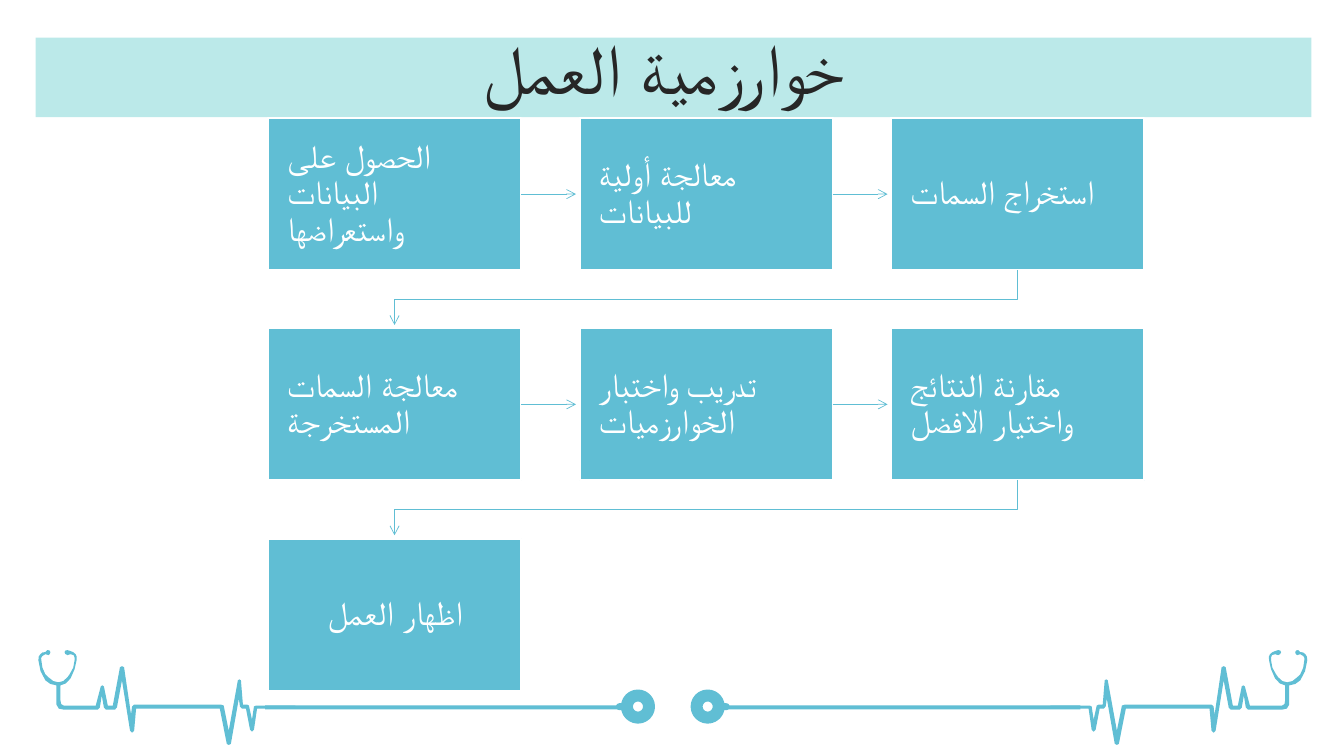
from lxml.etree import SubElement
from pptx import Presentation
from pptx.dml.color import RGBColor
from pptx.enum.shapes import MSO_CONNECTOR as Connector, MSO_SHAPE as Shape
from pptx.enum.text import MSO_ANCHOR as Anchor, MSO_AUTO_SIZE as AutoSize, PP_ALIGN as Align
from pptx.oxml.ns import qn
from pptx.util import Pt

TEAL, MINT, WHITE, INK = "60BED4", "BBE9E9", "FFFFFF", "262626"
BOX_LEFT, BOX_TOP, BOX_WIDTH, BOX_HEIGHT = 191.5, 84.4, 180.7, 108.5
COLUMN_STEP, ROW_STEP, COLUMNS = 222.6, 150.2, 3
ARROW_LENGTH, ELBOW_DROP = 39.2, 20.9
MIRROR_WIDTH = 961.2

STEPS = [
    "الحصول على البيانات واستعراضها",
    "معالجة أولية للبيانات",
    "استخراج السمات",
    "معالجة السمات المستخرجة",
    "تدريب واختبار الخوارزميات",
    "مقارنة النتائج واختيار الافضل",
    "اظهار العمل",
]

HEARTBEAT = [
    (27.4, 471.6), (27.7, 469), (28.8, 467.3), (30.4, 466.1), (32.4, 465.8),
    (33.8, 464.4), (35.3, 464.6), (36, 465.8), (35.6, 467.2), (34.6, 468),
    (32.4, 467.3), (30.2, 468.7), (29.4, 470), (29.5, 471.6), (30.3, 477),
    (32.4, 481.7), (34.6, 483.8), (38, 486.5), (41.8, 487.4), (45.2, 486.5),
    (48.2, 483.8), (49.7, 481.7), (52.3, 477), (53.3, 471.6), (53.2, 469.4),
    (52.6, 468), (50.4, 467.3), (48.2, 468), (46.7, 467.2), (46.1, 465.8),
    (46.8, 464.7), (48.2, 464.4), (50.4, 465.1), (52.3, 465.9), (54, 467.3),
    (54.8, 469), (54.7, 471.6), (53.3, 478), (50.4, 484.6), (47, 488.2),
    (43.2, 489.6), (43.2, 500.4), (43.7, 503), (45.4, 504), (68.4, 504),
    (72, 490.3), (73.1, 489.6), (74.2, 490.3), (77, 504), (80.6, 504),
    (85.7, 476.6), (87.1, 475.9), (88.6, 476.6), (93.6, 510.5), (94.3, 504.7),
    (95.8, 503.3), (157.7, 503.3), (159.8, 504), (163.4, 522), (169.9, 486),
    (171, 485.3), (172.1, 486), (173.5, 503.3), (176.4, 503.3), (177.8, 504),
    (180, 514.1), (181.4, 504.7), (182.9, 504), (211, 504), (211, 506.2),
    (183.6, 506.2), (181.4, 521.3), (180, 522.7), (178.6, 521.3),
    (175.7, 506.2), (172.8, 506.2), (171.4, 504.7), (170.6, 499),
    (164.9, 531.4), (163.4, 532.1), (162, 531.4), (157, 506.2), (97.2, 506.2),
    (95.8, 522), (94.3, 523.4), (92.9, 522), (87.1, 486), (83.5, 505.4),
    (82.1, 506.9), (75.6, 506.9), (74.2, 505.4), (72.7, 496.8), (71.3, 505.4),
    (69.8, 506.9), (45.4, 506.9), (42, 506.2), (40.3, 503.3), (40.3, 489.6),
    (36, 488.6), (32.4, 486), (29, 479.5),
]


class FlowPage:
    """Draws styled elements on one slide."""

    def __init__(self, deck):
        self.page = deck.slides.add_slide(deck.slide_layouts[5])
        self.shapes = self.page.shapes
        self.font = "Arial"

    def paint(self, fill, colour):
        fill.solid()
        fill.fore_color.rgb = RGBColor.from_string(colour)

    def label(self, box, text, size, colour, align, spacing):
        frame = box.text_frame
        frame.text = text
        frame.word_wrap = True
        frame.auto_size = AutoSize.NONE
        frame.vertical_anchor = Anchor.MIDDLE
        para = frame.paragraphs[0]
        para.alignment = align
        para.line_spacing = spacing
        para.space_before = Pt(0)
        span = para.runs[0]
        span.font.size = Pt(size)
        span.font.name = self.font
        self.paint(span.font.fill, colour)
        SubElement(span.font._element, qn("a:cs"), typeface=self.font)
        return para

    def title(self, text, left, top, width, height):
        box = self.shapes.title
        box.left, box.top, box.width, box.height = map(Pt, (left, top, width, height))
        self.paint(box.fill, MINT)
        self.label(box, text, 50, INK, Align.CENTER, 0.7)

    def block(self, kind, left, top, width, height, colour=TEAL):
        box = self.shapes.add_shape(kind, *map(Pt, (left, top, width, height)))
        box.shadow.inherit = False
        self.paint(box.fill, colour)
        box.line.fill.background()
        return box

    def step(self, text, left, top, align):
        box = self.block(Shape.RECTANGLE, left, top, BOX_WIDTH, BOX_HEIGHT)
        self.paint(box.line.fill, WHITE)
        box.line.width = Pt(1.5)
        para = self.label(box, text, 24, WHITE, align, 0.9)
        para._p.get_or_add_pPr().set("rtl", "1")
        frame = box.text_frame
        frame.margin_left = frame.margin_right = Pt(13.7)
        frame.margin_top = frame.margin_bottom = Pt(13.7)
        return box

    def ring(self, left, top, size):
        box = self.block(Shape.OVAL, left, top, size, size)
        box.fill.background()
        self.paint(box.line.fill, TEAL)
        box.line.width = Pt(8.57)

    def outline(self, points, close):
        corners = [(Pt(x), Pt(y)) for x, y in points]
        builder = self.shapes.build_freeform(*corners[0])
        builder.add_line_segments(corners[1:], close=close)
        shape = builder.convert_to_shape()
        shape.shadow.inherit = False
        return shape

    def pulse(self, points):
        shape = self.outline(points, True)
        self.paint(shape.fill, TEAL)
        shape.line.fill.background()

    def arrow_line(self, line):
        self.paint(line.fill, TEAL)
        line.width = Pt(0.5)
        SubElement(line._get_or_add_ln(), qn("a:tailEnd"), type="arrow")

    def arrow(self, box, left, top):
        link = self.shapes.add_connector(
            Connector.STRAIGHT, Pt(left), Pt(top), Pt(left + ARROW_LENGTH), Pt(top))
        link.begin_connect(box, 3)
        self.arrow_line(link.line)
        SubElement(link._element.spPr, qn("a:effectLst"))

    def elbow(self, start, top, end):
        turn = top + ELBOW_DROP
        shape = self.outline(
            [(start, top), (start, turn), (end, turn), (end, top + ARROW_LENGTH)], False)
        shape.fill.background()
        self.arrow_line(shape.line)

    def stethoscope(self, mirrored):
        def place(left, width):
            return MIRROR_WIDTH - left - width if mirrored else left

        self.pulse([(place(x, 0), y) for x, y in HEARTBEAT])
        self.ring(place(447.8, 15.8), 496.8, 15.8)
        cuff = self.block(Shape.ROUNDED_RECTANGLE, place(440, 7.9), 502.3, 7.9, 5)
        cuff.adjustments[0] = 0.5
        self.block(Shape.RECTANGLE, place(189.4, 256.3), 503.8, 256.3, 2.9)

    def flow(self, steps):
        for index, text in enumerate(steps):
            row, column = divmod(index, COLUMNS)
            left = BOX_LEFT + column * COLUMN_STEP
            top = BOX_TOP + row * ROW_STEP
            last = index == len(steps) - 1
            box = self.step(text, left, top, Align.CENTER if last else Align.LEFT)
            if last:
                continue
            if column < COLUMNS - 1:
                self.arrow(box, left + BOX_WIDTH, top + BOX_HEIGHT / 2)
            else:
                middle = BOX_WIDTH / 2
                self.elbow(left + middle, top + BOX_HEIGHT, BOX_LEFT + middle)


def main():
    deck = Presentation()
    deck.slide_width, deck.slide_height = Pt(960), Pt(540)
    page = FlowPage(deck)
    page.title("خوارزمية العمل ", 25.4, 26.8, 911.3, 56.9)
    for mirrored in (True, False):
        page.stethoscope(mirrored)
    page.flow(STEPS)
    deck.save("out.pptx")


if __name__ == "__main__":
    main()
